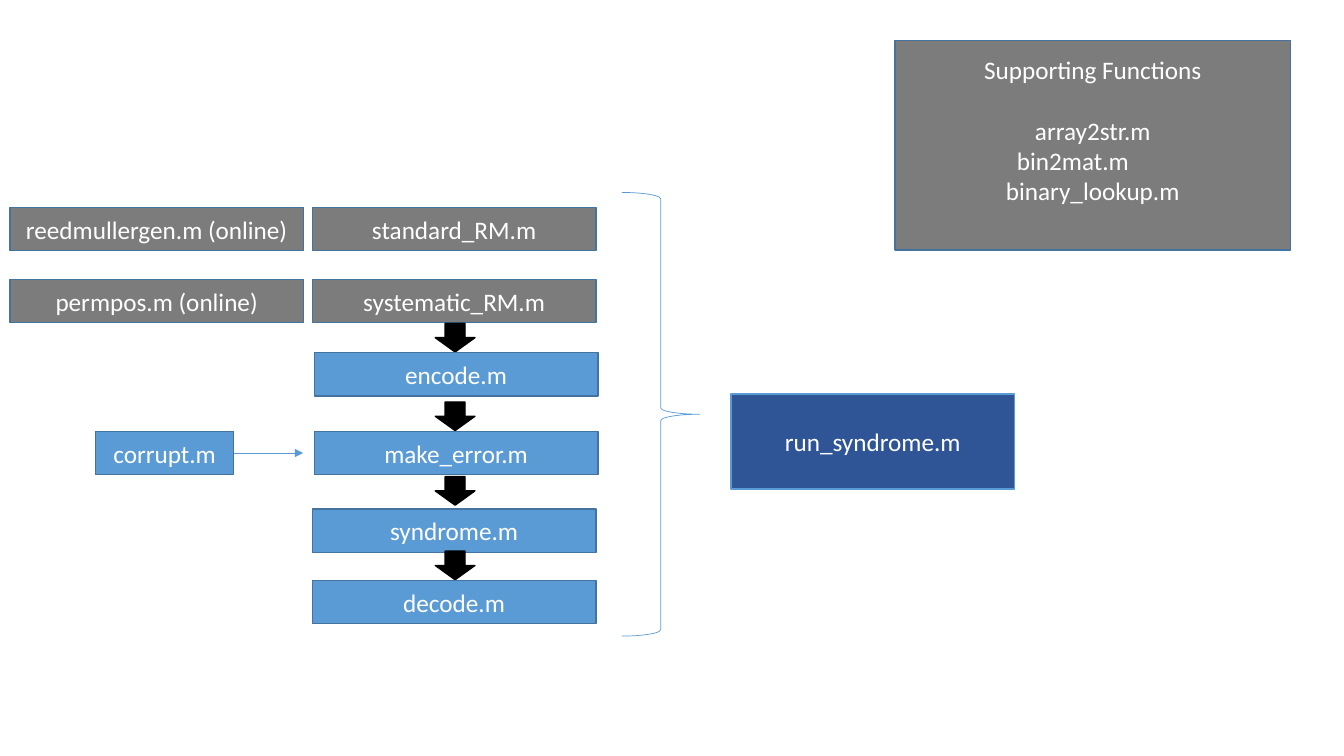
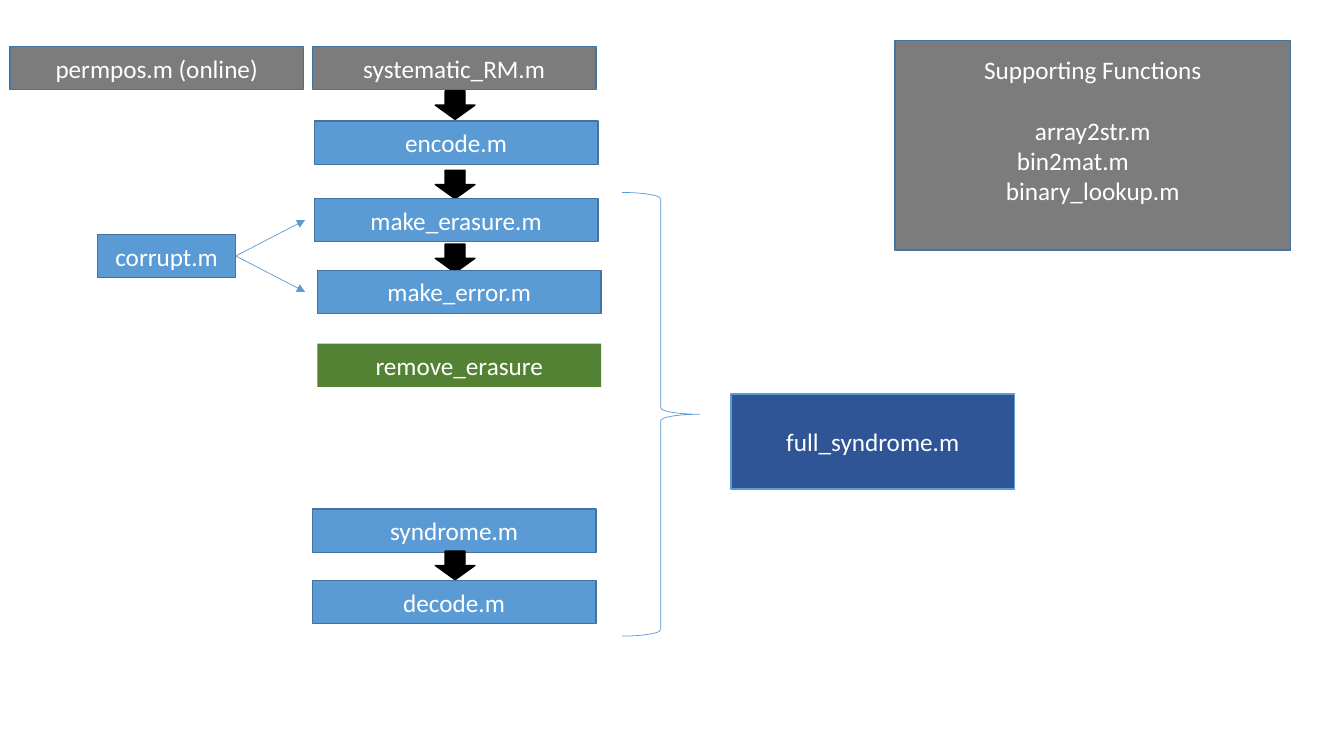
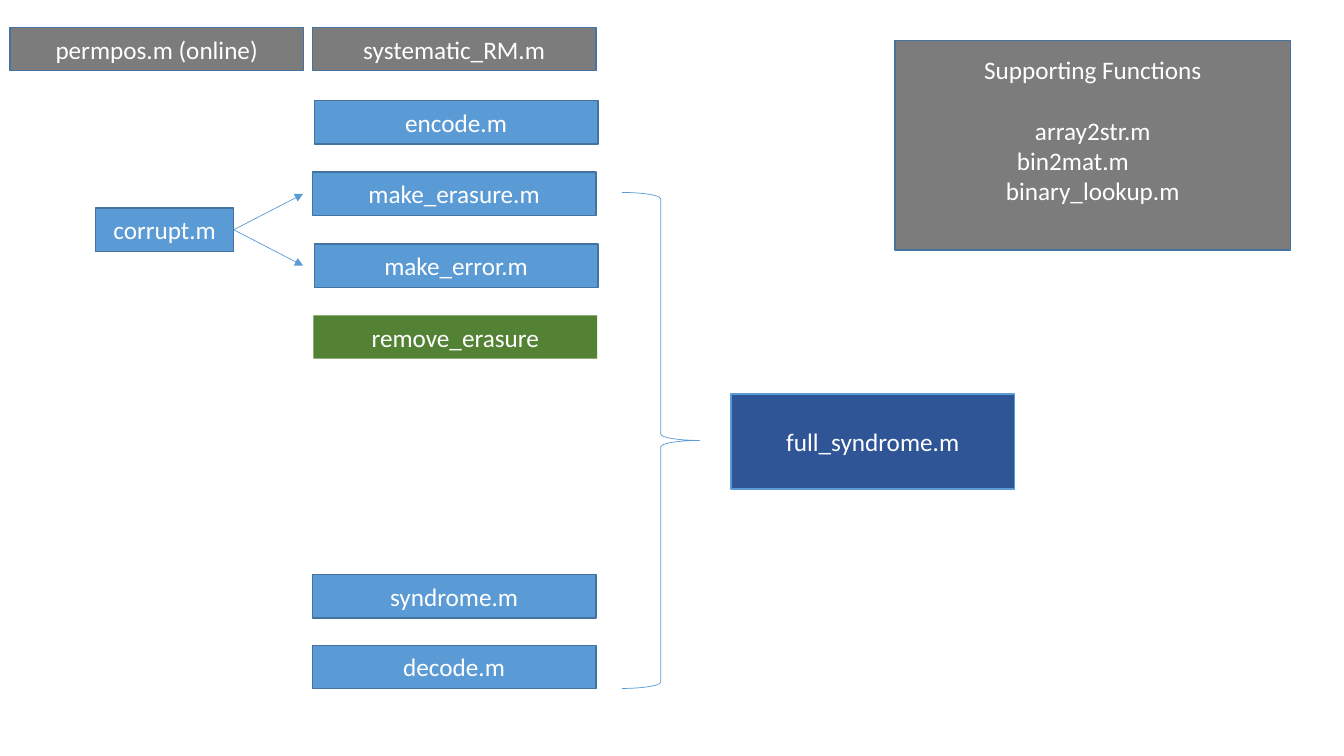
import pptx
import pptx.dml.color
import pptx.enum.shapes
import pptx.enum.text
import pptx.oxml
import pptx.oxml.ns
import pptx.util
from dataclasses import dataclass

Cm, Pt = pptx.util.Cm, pptx.util.Pt
SHAPES = pptx.enum.shapes.MSO_SHAPE
ALIGN = pptx.enum.text.PP_ALIGN


@dataclass(frozen=True)
class Theme:
    font: str = "Calibri"
    size: int = 18
    text: str = "FFFFFF"
    blue: str = "5B9BD5"
    outline: str = "43739E"
    gray: str = "7C7C7C"
    navy: str = "2F5597"
    green: str = "548235"
    black: str = "000000"
    box_line: float = 1
    thin_line: float = 0.5


THEME = Theme()

# Content: steps are (text, left, top, fill, arrow lead above the box or None)
BLUE, GRAY, GREEN = THEME.blue, THEME.gray, THEME.green
SUPPORT_TITLE = "Supporting Functions"
SUPPORT_FILES = [("array2str.m", None), ("bin2mat.m", 2.82), ("binary_lookup.m", None)]
FLOWS = [
    {
        "steps": [
            ("standard_RM.m", 7.87, 5.23, GRAY, None),
            ("systematic_RM.m", 7.87, 7.04, GRAY, None),
            ("encode.m", 7.92, 8.89, BLUE, 0.74),
            ("make_error.m", 7.92, 10.87, BLUE, 0.74),
            ("syndrome.m", 7.87, 12.83, BLUE, 0.82),
            ("decode.m", 7.87, 14.63, BLUE, 0.74),
        ],
        "online": {"standard_RM.m": "reedmullergen.m (online)",
                   "systematic_RM.m": "permpos.m (online)"},
        "corrupted": ["make_error.m"],
        "corrupt_left": 2.41,
        "brace_height": 11.18,
        "runner": "run_syndrome.m",
    },
    {
        "steps": [
            ("systematic_RM.m", 7.87, 1.17, GRAY, None),
            ("encode.m", 7.92, 3.05, BLUE, 0.76),
            ("make_erasure.m", 7.92, 5.0, BLUE, 0.71),
            ("make_error.m", 8.0, 6.81, BLUE, 0.66),
            ("remove_erasure", 8.0, 8.66, GREEN, None),
            ("syndrome.m", 7.87, 12.83, BLUE, None),
            ("decode.m", 7.87, 14.63, BLUE, 0.74),
        ],
        "online": {"systematic_RM.m": "permpos.m (online)"},
        "corrupted": ["make_erasure.m", "make_error.m"],
        "corrupt_left": 2.46,
        "brace_height": 11.18,
        "runner": "full_syndrome.m",
    },
    {
        "steps": [
            ("systematic_RM.m", 7.87, 0.69, GRAY, None),
            ("encode.m", 7.92, 2.54, BLUE, None),
            ("make_erasure.m", 7.87, 4.34, BLUE, None),
            ("make_error.m", 7.92, 6.15, BLUE, None),
            ("remove_erasure", 7.9, 7.95, GREEN, None),
            ("syndrome.m", 7.87, 14.48, BLUE, None),
            ("decode.m", 7.87, 16.26, BLUE, None),
        ],
        "online": {"systematic_RM.m": "permpos.m (online)"},
        "corrupted": ["make_erasure.m", "make_error.m"],
        "corrupt_left": 2.41,
        "brace_height": 12.5,
        "runner": "full_syndrome.m",
    },
]

# Shared measures in centimetres
STEP_WIDTH, STEP_HEIGHT = 7.15, 1.09
ONLINE_LEFT, ONLINE_WIDTH = 0.25, 7.4
CORRUPT_WIDTH, LINK_LENGTH = 3.48, 1.75
ARROW_LEFT, ARROW_WIDTH, ARROW_HEIGHT = 10.97, 1.0, 0.72
BRACE_LEFT, BRACE_TOP, BRACE_WIDTH = 15.67, 4.85, 1.96
RUNNER_AREA = (18.42, 9.93, STEP_WIDTH, 2.39)
SUPPORT_AREA = (22.56, 1.02, 9.96, 5.28)
LINE_PITCH = Pt(22)


def rgb(color):
    return pptx.dml.color.RGBColor.from_string(color)


def add_shape(slide, kind, area, fill=None, line=THEME.outline, width=THEME.box_line):
    shape = slide.shapes.add_shape(kind, *map(Cm, area))
    shape.shadow.inherit = False
    if fill:
        shape.fill.solid()
        shape.fill.fore_color.rgb = rgb(fill)
    else:
        shape.fill.background()
    if line:
        shape.line.color.rgb = rgb(line)
        shape.line.width = Pt(width)
    else:
        shape.line.fill.background()
    return shape


def add_box(slide, text, area, fill, line=THEME.outline):
    box = add_shape(slide, SHAPES.RECTANGLE, area, fill, line)
    frame = box.text_frame
    frame.word_wrap = True
    frame.vertical_anchor = pptx.enum.text.MSO_ANCHOR.MIDDLE
    frame.text = text
    for paragraph in frame.paragraphs:
        paragraph.alignment = ALIGN.CENTER
        for run in paragraph.runs:
            run.font.name = THEME.font
            run.font.size = Pt(THEME.size)
            run.font.color.rgb = rgb(THEME.text)
    return box


def add_link(slide, source, end_x, end_y):
    link = slide.shapes.add_connector(
        pptx.enum.shapes.MSO_CONNECTOR.STRAIGHT, 0, 0, Cm(end_x), Cm(end_y))
    link.begin_connect(source, 3)
    link.line.color.rgb = rgb(THEME.blue)
    link.line.width = Pt(THEME.thin_line)
    head = pptx.oxml.parse_xml(
        f'<a:tailEnd {pptx.oxml.ns.nsdecls("a")} type="triangle"/>')
    link.line._get_or_add_ln().append(head)
    effects = pptx.oxml.parse_xml(f'<a:effectLst {pptx.oxml.ns.nsdecls("a")}/>')
    link._element.spPr.append(effects)


def add_support(slide):
    text = "\n".join([SUPPORT_TITLE] + [name for name, _ in SUPPORT_FILES])
    frame = add_box(slide, text, SUPPORT_AREA, THEME.gray).text_frame
    frame.margin_bottom += LINE_PITCH
    frame.paragraphs[0].space_after = LINE_PITCH
    for paragraph, (_, indent) in zip(frame.paragraphs[1:], SUPPORT_FILES):
        if indent:
            paragraph.alignment = ALIGN.LEFT
            paragraph._p.get_or_add_pPr().set("marL", str(Cm(indent)))


def add_steps(slide, flow):
    for text, left, top, fill, lead in flow["steps"]:
        if lead:
            add_shape(slide, SHAPES.DOWN_ARROW,
                      (ARROW_LEFT, top - lead, ARROW_WIDTH, ARROW_HEIGHT),
                      THEME.black, THEME.black)
        line = None if fill == THEME.green else THEME.outline
        add_box(slide, text, (left, top, STEP_WIDTH, STEP_HEIGHT), fill, line)
        if text in flow["online"]:
            add_box(slide, flow["online"][text],
                    (ONLINE_LEFT, top, ONLINE_WIDTH, STEP_HEIGHT), THEME.gray)


def add_corruption(slide, flow):
    # The source box sits midway between the steps it feeds
    tops = [step[2] for step in flow["steps"] if step[0] in flow["corrupted"]]
    left = flow["corrupt_left"]
    box = add_box(slide, "corrupt.m",
                  (left, sum(tops) / len(tops), CORRUPT_WIDTH, STEP_HEIGHT), THEME.blue)
    for top in tops:
        add_link(slide, box, left + CORRUPT_WIDTH + LINK_LENGTH, top + STEP_HEIGHT / 2)


def main():
    presentation = pptx.Presentation()
    presentation.slide_width, presentation.slide_height = Cm(33.87), Cm(19.05)
    blank = presentation.slide_layouts[6]
    for flow in FLOWS:
        slide = presentation.slides.add_slide(blank)
        add_support(slide)
        add_steps(slide, flow)
        add_corruption(slide, flow)
        add_shape(slide, SHAPES.RIGHT_BRACE,
                  (BRACE_LEFT, BRACE_TOP, BRACE_WIDTH, flow["brace_height"]),
                  line=THEME.blue, width=THEME.thin_line)
        add_box(slide, flow["runner"], RUNNER_AREA, THEME.navy, THEME.blue)
    presentation.save("out.pptx")


if __name__ == "__main__":
    main()
